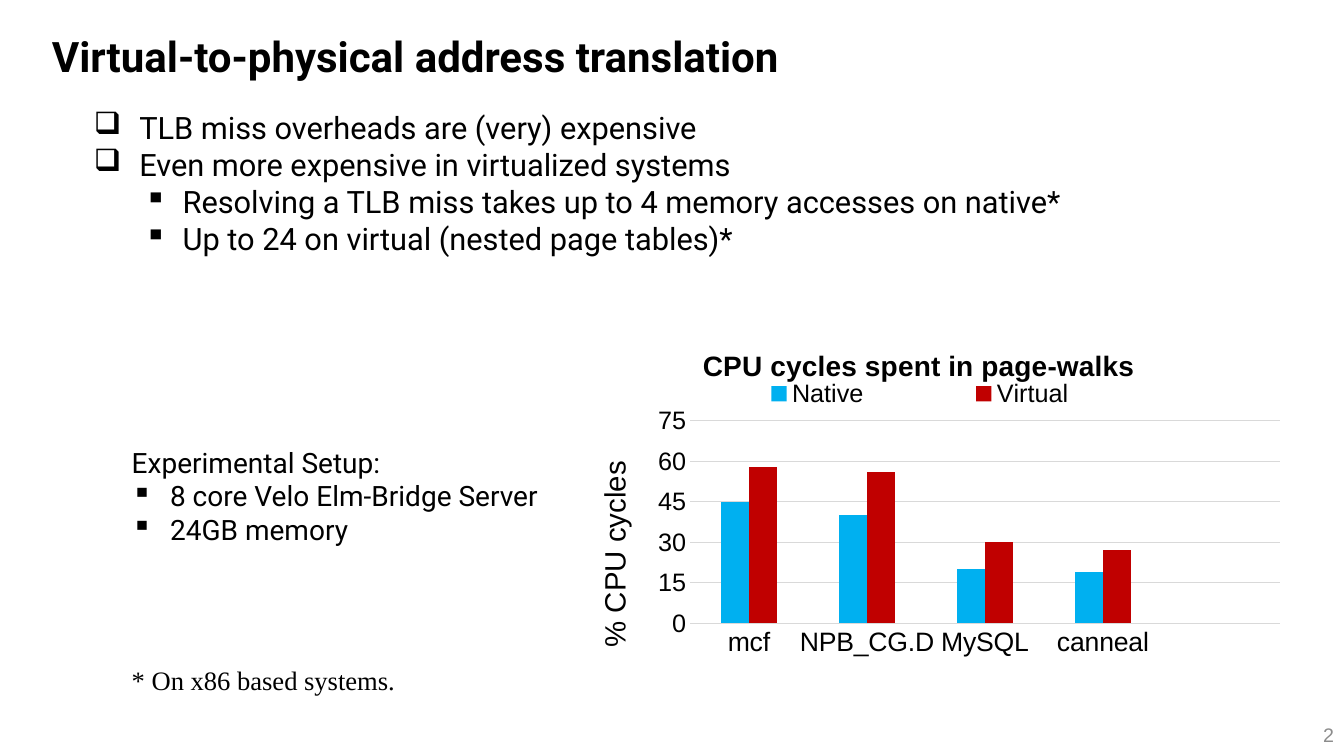
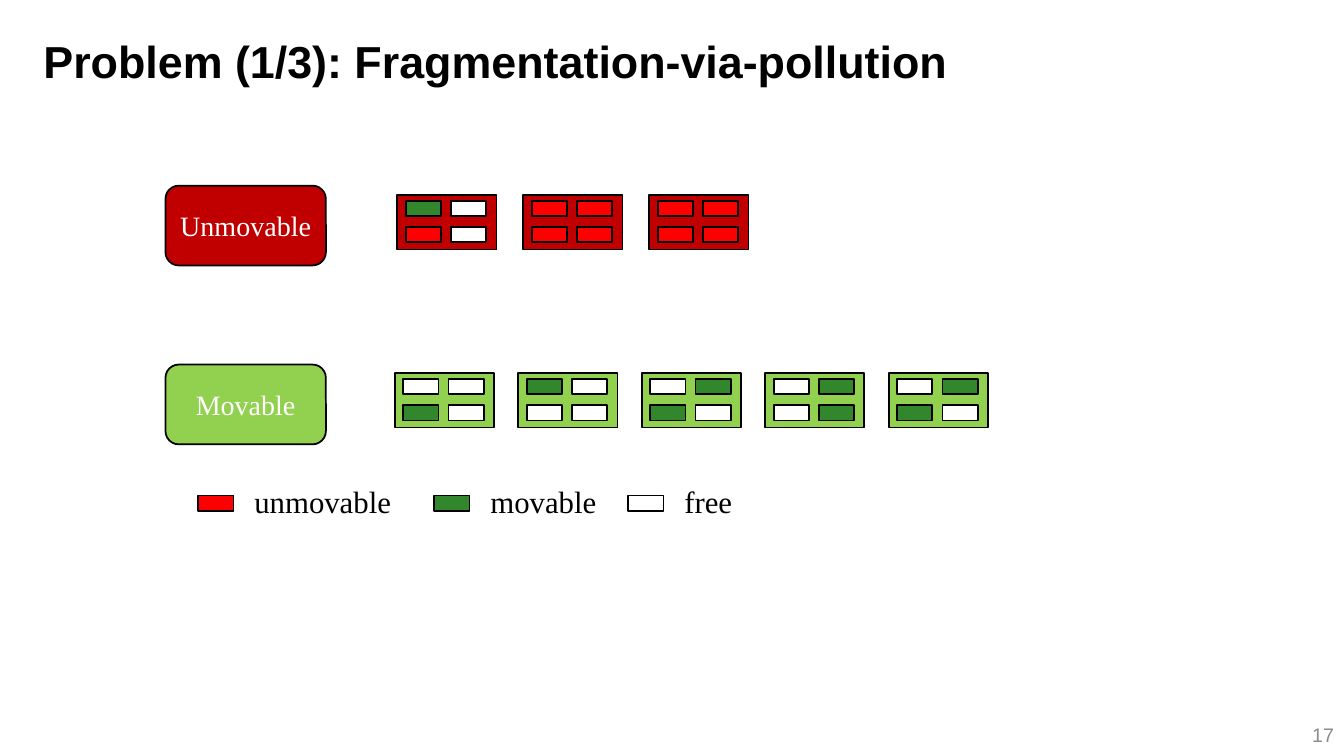
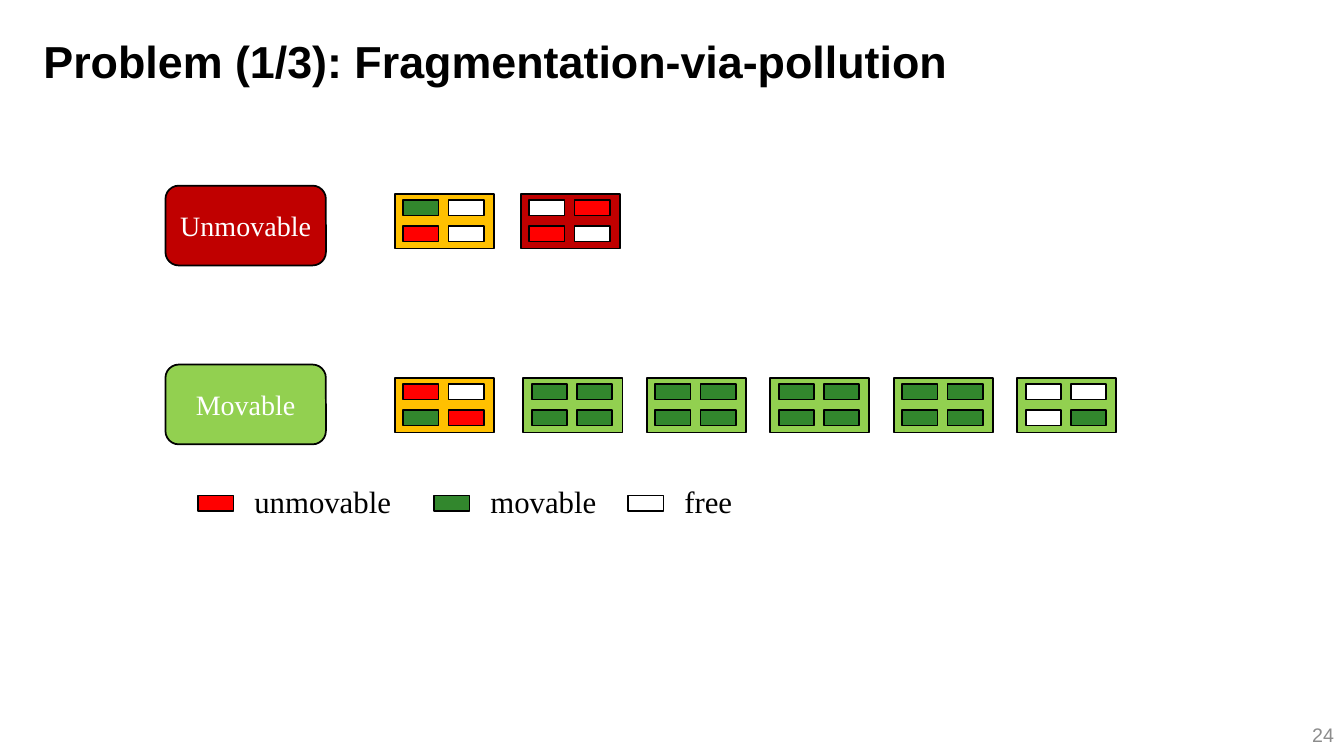
from lxml.etree import SubElement
from pptx import Presentation
from pptx.chart.data import CategoryChartData
from pptx.dml.color import RGBColor
from pptx.enum.chart import XL_CHART_TYPE, XL_LEGEND_POSITION, XL_TICK_MARK
from pptx.enum.shapes import MSO_SHAPE
from pptx.enum.text import MSO_ANCHOR, PP_ALIGN
from pptx.oxml.ns import qn
from pptx.util import Inches, Pt

COLS, ROWS = 160, 90
BLACK, WHITE, GREY, RULE = "000000", "FFFFFF", "8C8C8C", "D9D9D9"
BLUE, RED, LIME, GOLD = "00B0F0", "C00000", "92D050", "FFC000"
PAGE = {"r": "FF0000", "g": "32872D", "f": WHITE}
SERIF, SANS, BODY = "Times New Roman", "Arial", "Roboto"


def paint(target, color):
    if hasattr(target, "solid"):
        target.solid()
        target = target.fore_color
    target.rgb = RGBColor.from_string(color)


def style(font, size, name=SANS, color=BLACK, bold=False):
    for key, value in {"size": Pt(size), "name": name, "bold": bold}.items():
        setattr(font, key, value)
    paint(font.color, color)


def bullet(para, mark, left, hang):
    props = para._p.get_or_add_pPr()
    props.set("marL", str(Inches(left)))
    props.set("indent", str(-Inches(hang)))
    SubElement(props, qn("a:buChar")).set("char", mark)


def place(node, spot, area, inner=False):
    for old in node.findall(qn("c:layout")):
        node.remove(old)
    frame = node.makeelement(qn("c:layout"))
    node.insert(spot, frame)
    manual = SubElement(frame, qn("c:manualLayout"))
    pairs = [("layoutTarget", "inner")] if inner else []
    pairs += [("xMode", "edge"), ("yMode", "edge")]
    pairs += zip("xywh", area)
    for tag, value in pairs:
        SubElement(manual, qn("c:" + tag)).set("val", str(value))


class Deck:
    def __init__(self):
        self.show = Presentation()
        self.show.slide_width = Inches(13.33)
        self.show.slide_height = Inches(7.5)
        self.slide = None

    def grid(self, x, y, w, h):
        col = self.show.slide_width / COLS
        row = self.show.slide_height / ROWS
        return [round(v) for v in (x * col, y * row, w * col, h * row)]

    def new(self, title, page, area, size, name):
        self.slide = self.show.slides.add_slide(self.show.slide_layouts[6])
        self.text(area, [title], size, name, bold=True,
                  anchor=MSO_ANCHOR.BOTTOM, space=0.8)
        self.text((124, 85.1, 36, 4.8), [page], 14, SANS, GREY,
                  anchor=MSO_ANCHOR.MIDDLE, align=PP_ALIGN.RIGHT)

    def text(self, area, lines, size, name=SERIF, color=BLACK, bold=False,
             anchor=MSO_ANCHOR.TOP, align=PP_ALIGN.LEFT, space=None):
        box = self.slide.shapes.add_textbox(*self.grid(*area))
        self.fill(box.text_frame, lines, size, name, color, bold,
                  anchor, align, space)

    def fill(self, frame, lines, size, name, color, bold=False,
             anchor=MSO_ANCHOR.MIDDLE, align=PP_ALIGN.CENTER, space=None):
        frame.word_wrap = True
        frame.vertical_anchor = anchor
        for i, line in enumerate(lines):
            para = frame.paragraphs[0] if i == 0 else frame.add_paragraph()
            words, *mark = (line,) if isinstance(line, str) else line
            for key, value in {"alignment": align, "line_spacing": space}.items():
                setattr(para, key, value)
            if mark:
                bullet(para, *mark)
            run = para.add_run()
            run.text = words
            style(run.font, size, name, color, bold)

    def rect(self, area, color, kind=MSO_SHAPE.RECTANGLE):
        shape = self.slide.shapes.add_shape(kind, *self.grid(*area))
        shape.shadow.inherit = False
        paint(shape.fill, color)
        paint(shape.line.fill, BLACK)
        shape.line.width = Pt(1.25)
        return shape

    def tag(self, y, label, color):
        shape = self.rect((19.7, y, 19.1, 9.5), color, MSO_SHAPE.ROUNDED_RECTANGLE)
        self.fill(shape.text_frame, [label], 20, SERIF, WHITE)

    def block(self, x, y, color, cells):
        self.rect((x, y, 11.8, 6.5), color)
        for i, cell in enumerate(cells):
            row, col = divmod(i, 2)
            self.rect((x + 1 + 5.4 * col, y + 0.75 + 3.1 * row, 4.2, 1.8),
                      PAGE[cell])

    def line(self, x, y, step, color, *blocks):
        for i, cells in enumerate(blocks):
            self.block(x + i * step, y, color, cells)

    def pool(self, page):
        self.new("Problem (1/3): Fragmentation-via-pollution", page,
                 (4, 1.4, 119, 9.6), 32, SANS)
        self.tag(22.1, "Unmovable", RED)
        self.tag(43.4, "Movable", LIME)
        keys = [(23.6, "r", "unmovable"), (51.7, "g", "movable"), (74.8, "f", "free")]
        for x, cell, label in keys:
            self.rect((x, 59, 4.2, 1.8), PAGE[cell])
            self.text((x + 5.5, 56.9, 20, 5.6), [label], 22)

    def chart(self, area, title, unit, cats, series):
        data = CategoryChartData()
        data.categories = cats
        for name, values, _ in series:
            data.add_series(name, values)
        chart = self.slide.shapes.add_chart(
            XL_CHART_TYPE.COLUMN_CLUSTERED, *self.grid(*area), data).chart
        style(chart.font, 10)
        plot = chart.plots[0]
        for key, value in {"gap_width": 219, "overlap": 0,
                           "vary_by_categories": False}.items():
            setattr(plot, key, value)
        for item, (_, _, color) in zip(plot.series, series):
            paint(item.format.fill, color)

        base, side = chart.category_axis, chart.value_axis
        for key, value in {"minimum_scale": 0, "maximum_scale": 75,
                           "major_unit": 15}.items():
            setattr(side, key, value)
        for axis, size in ((base, 19), (side, 18)):
            axis.major_tick_mark = XL_TICK_MARK.NONE
            style(axis.tick_labels.font, size)
        side.format.line.fill.background()
        for edge in (base.format.line, side.major_gridlines.format.line):
            paint(edge.fill, RULE)
            edge.width = Pt(0.75)

        for head, words, size, bold in ((chart.chart_title, title, 20, True),
                                        (side.axis_title, unit, 21, False)):
            run = head.text_frame.paragraphs[0].add_run()
            run.text = words
            style(run.font, size, bold=bold)
        chart.has_legend = True
        for key, value in {"position": XL_LEGEND_POSITION.BOTTOM,
                           "include_in_layout": False}.items():
            setattr(chart.legend, key, value)
        style(chart.legend.font, 18)

        spots = {"c:chart/c:plotArea": (0, (0.21, 0.24, 0.77, 0.52), True),
                 "c:chart/c:title": (1, (0.22, 0.04)),
                 ".//c:valAx/c:title": (1, (0.08, 0.33)),
                 "c:chart/c:legend": (1, (0.18, 0.13, 0.66, 0.08))}
        for query, spot in spots.items():
            place(chart._element.xpath(query)[0], *spot)


def main():
    deck = Deck()
    deck.new("Virtual-to-physical address translation", "2",
             (5, 0.6, 104, 9.6), 30, BODY)
    top, sub, flat = ("❑", 0.45, 0.45), ("▪", 0.88, 0.38), ("▪", 0.38, 0.38)
    deck.text((10, 12.4, 131.4, 19), [
        ("TLB miss overheads are (very) expensive", *top),
        ("Even more expensive in virtualized systems", *top),
        ("Resolving a TLB miss takes up to 4 memory accesses on native*", *sub),
        ("Up to 24 on virtual (nested page tables)*", *sub)], 22, BODY)
    deck.chart((63, 39, 91.2, 46.3), "CPU cycles spent in page-walks",
               "% CPU cycles", ["mcf", "NPB_CG.D", "MySQL", "canneal", ""],
               [("Native", (45, 40, 20, 19, None), BLUE),
                ("Virtual", (58, 56, 30, 27, None), RED)])
    deck.text((14.5, 52.4, 54.5, 13.3), [
        "Experimental Setup:",
        ("8 core Velo Elm-Bridge Server", *flat),
        ("24GB memory", *flat)], 20, BODY)
    deck.text((14.5, 78.4, 72.4, 5), ["* On x86 based systems."], 19)

    deck.pool("17")
    deck.line(47.3, 23.2, 15, RED, "gfrf", "rrrr", "rrrr")
    deck.line(47, 44.4, 14.7, LIME, "ffgf", "gfff", "fggf", "fgfg", "fggf")

    deck.pool("24")
    deck.line(47, 23.1, 15, GOLD, "gfrf")
    deck.line(62, 23.1, 15, RED, "frrf")
    deck.line(47, 45, 14.7, GOLD, "rfgr")
    deck.line(62.3, 45, 14.7, LIME, *["gggg"] * 4, "fffg")
    deck.show.save("out.pptx")


if __name__ == "__main__":
    main()
